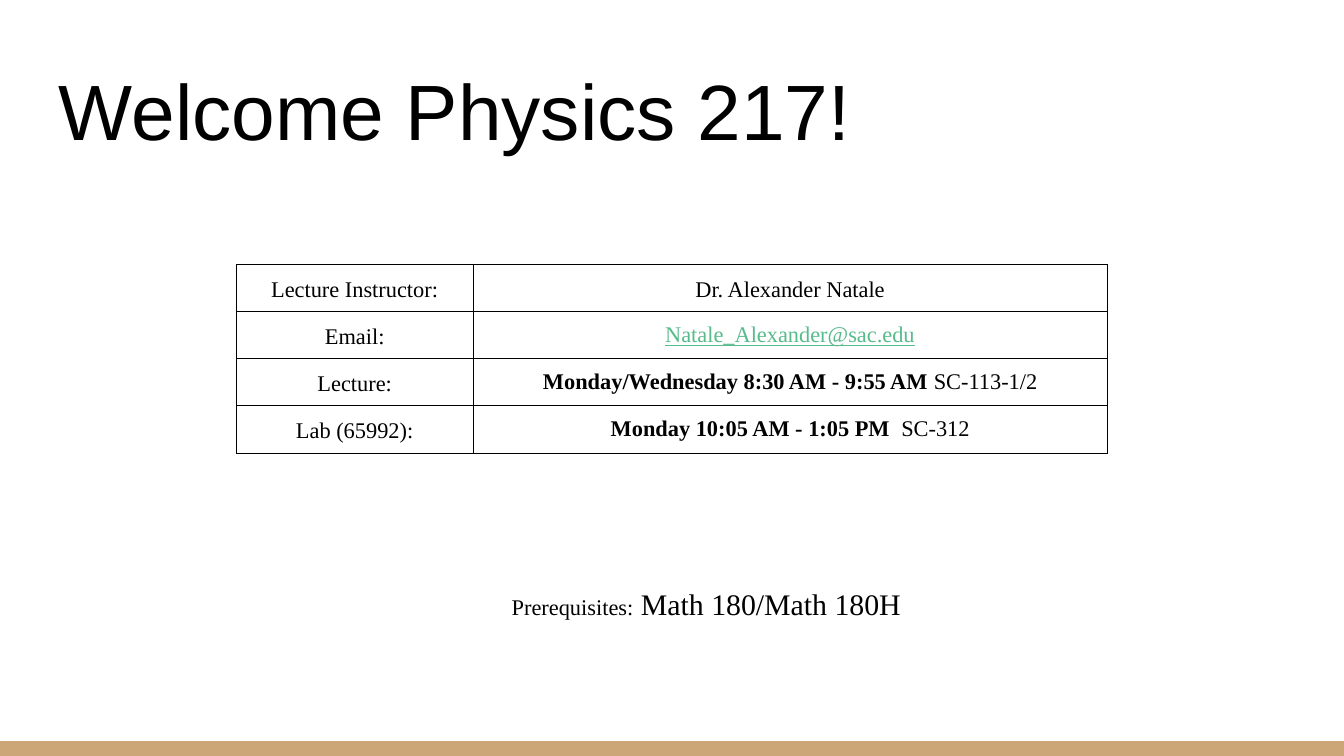
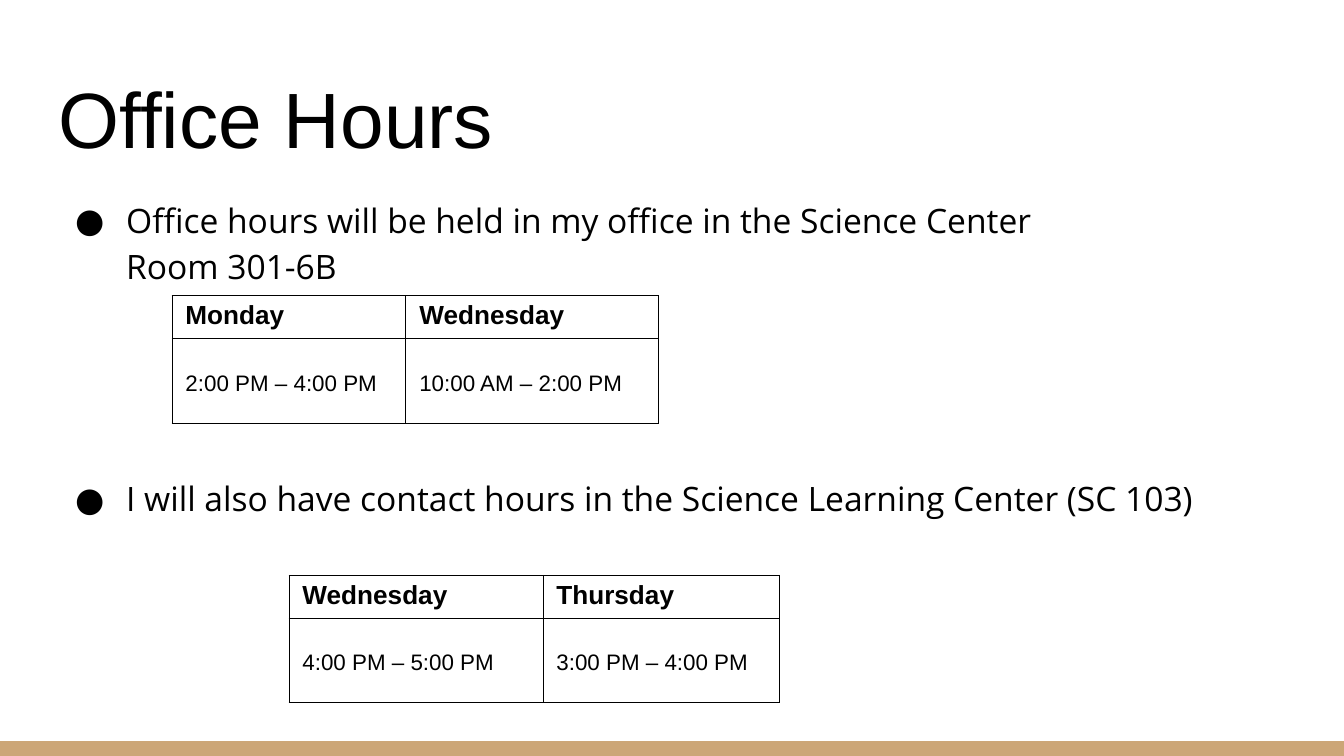
from lxml import etree
from pptx import Presentation
from pptx.dml.color import RGBColor
from pptx.enum.shapes import MSO_SHAPE
from pptx.enum.text import MSO_ANCHOR, PP_ALIGN
from pptx.oxml.ns import qn
from pptx.util import Inches, Pt

RECTANGLE = MSO_SHAPE.RECTANGLE
TOP, MIDDLE, BOTTOM = MSO_ANCHOR.TOP, MSO_ANCHOR.MIDDLE, MSO_ANCHOR.BOTTOM
LEFT, CENTER = PP_ALIGN.LEFT, PP_ALIGN.CENTER

BLACK = RGBColor(0x00, 0x00, 0x00)
TAN = RGBColor(0xCC, 0xA6, 0x77)
GREEN = RGBColor(0x57, 0xBB, 0x8A)

SANS, SERIF, BODY = "Arial", "Times New Roman", "Open Sans"
SLIDE_W = 10
SLIDE_H = SLIDE_W * 9 / 16
BAND_H = 0.11
MARGIN, CONTENT_W = 0.34, 9.32
LINE_SPACING = 1.15


def style(font, name, size, color=BLACK, bold=False):
    font.name = name
    font.size = Pt(size)
    font.color.rgb = color
    font.bold = bold


def add_text_box(slide, left, top, width, height, anchor=TOP):
    frame = slide.shapes.add_textbox(
        Inches(left), Inches(top), Inches(width), Inches(height)).text_frame
    frame.word_wrap = True
    frame.vertical_anchor = anchor
    frame.margin_left = frame.margin_right = Inches(0.1)
    frame.margin_top = frame.margin_bottom = Inches(0.1)
    return frame


def add_titled_slide(prs, title, top):
    """Add a slide with the tan band at its foot and a large title."""
    slide = prs.slides.add_slide(prs.slide_layouts[6])
    band = slide.shapes.add_shape(
        RECTANGLE, 0, Inches(SLIDE_H - BAND_H), Inches(SLIDE_W), Inches(BAND_H))
    band.shadow.inherit = False
    band.fill.solid()
    band.fill.fore_color.rgb = TAN
    band.line.fill.background()

    heading = add_text_box(
        slide, MARGIN, top, CONTENT_W, 0.91, BOTTOM).paragraphs[0]
    heading.text = title
    style(heading.font, SANS, 42)
    return slide


def set_bullet(paragraph):
    props = paragraph._p.get_or_add_pPr()
    props.set("marL", str(Inches(0.5)))
    props.set("indent", str(-Inches(0.38)))
    color = etree.SubElement(props, qn("a:buClr"))
    etree.SubElement(color, qn("a:srgbClr"), val=str(BLACK))
    etree.SubElement(props, qn("a:buFont"), typeface=BODY)
    etree.SubElement(props, qn("a:buChar"), char="●")


def set_borders(cell):
    props = cell._tc.get_or_add_tcPr()
    for index, side in enumerate(("lnL", "lnR", "lnT", "lnB")):
        line = etree.Element(qn(f"a:{side}"), w=str(Pt(0.5)))
        fill = etree.SubElement(line, qn("a:solidFill"))
        etree.SubElement(fill, qn("a:srgbClr"), val=str(BLACK))
        props.insert(index, line)


def add_grid(slide, left, top, col_widths, row_heights):
    """Add an unfilled table with thin black borders."""
    table = slide.shapes.add_table(
        len(row_heights), len(col_widths), Inches(left), Inches(top),
        Inches(sum(col_widths)), Inches(sum(row_heights))).table
    table.first_row = table.horz_banding = False
    for column, width in zip(table.columns, col_widths):
        column.width = Inches(width)
    for row, height in zip(table.rows, row_heights):
        row.height = Inches(height)
    for cell in table.iter_cells():
        cell.fill.background()
        set_borders(cell)
    return table


def fill_course_cell(cell, text, bold_text="", spacing=None):
    cell.vertical_anchor = MIDDLE
    cell.margin_left = cell.margin_right = Inches(0.07)
    cell.margin_top = cell.margin_bottom = Inches(0.06)
    paragraph = cell.text_frame.paragraphs[0]
    paragraph.alignment = CENTER
    if spacing:
        paragraph.line_spacing = spacing
    style(paragraph.font, SERIF, 12)
    if bold_text:
        schedule = paragraph.add_run()
        schedule.text = bold_text
        schedule.font.bold = True
    paragraph.add_run().text = text
    return paragraph


def add_course_table(slide):
    labels = ("Lecture Instructor:", "Email:", "Lecture:", "Lab (65992):")
    table = add_grid(slide, 1.76, 1.97, (1.76, 4.72), (0.35,) * len(labels))
    for row, label in enumerate(labels):
        fill_course_cell(table.cell(row, 0), label, spacing=LINE_SPACING)

    fill_course_cell(table.cell(0, 1), "Dr. Alexander Natale",
                     spacing=LINE_SPACING)
    email = fill_course_cell(table.cell(1, 1), "Natale_Alexander@sac.edu")
    email.font.color.rgb = GREEN
    email.font.underline = True
    fill_course_cell(table.cell(2, 1), "SC-113-1/2",
                     "Monday/Wednesday 8:30 AM - 9:55 AM ")
    fill_course_cell(table.cell(3, 1), "SC-312",
                     "Monday 10:05 AM - 1:05 PM  ")


def add_hours_table(slide, left, top, col_widths, hours):
    """Add a table of (day, time) pairs, one column for each day."""
    table = add_grid(slide, left, top, col_widths, (0.32, 0.63))
    for column, (day, time) in enumerate(hours):
        day_cell, time_cell = table.cell(0, column), table.cell(1, column)
        day_cell.margin_top = day_cell.margin_bottom = Inches(0.04)
        time_cell.margin_top = Inches(0.24)
        for cell, text, size in ((day_cell, day, 14), (time_cell, time, 12)):
            paragraph = cell.text_frame.paragraphs[0]
            paragraph.text = text
            paragraph.alignment = LEFT
            style(paragraph.font, SANS, size, bold=cell is day_cell)


def add_prerequisites(slide):
    paragraph = add_text_box(slide, 2.71, 4.22, 5.09, 1.2).paragraphs[0]
    paragraph.alignment = CENTER
    paragraph.line_spacing = LINE_SPACING
    for text, size in (("Prerequisites:", 12), (" Math 180/Math 180H", 16)):
        run = paragraph.add_run()
        run.text = text
        style(run.font, SERIF, size)


def add_bullets(slide, texts, gap):
    frame = add_text_box(slide, MARGIN, 1.34, CONTENT_W, 3.67)
    for index, text in enumerate(texts):
        paragraph = frame.add_paragraph() if index else frame.paragraphs[0]
        paragraph.text = text
        paragraph.line_spacing = LINE_SPACING
        if index:
            paragraph.space_before = Pt(gap)
        set_bullet(paragraph)
        style(paragraph.font, BODY, 18)


def main():
    prs = Presentation()
    prs.slide_width, prs.slide_height = Inches(SLIDE_W), Inches(SLIDE_H)

    welcome = add_titled_slide(prs, "Welcome Physics 217!", 0.35)
    add_course_table(welcome)
    add_prerequisites(welcome)

    office = add_titled_slide(prs, "Office Hours", 0.41)
    add_bullets(office, (
        "Office hours will be held in my office in the Science Center \v"
        "Room 301-6B",
        "I will also have contact hours in the Science Learning Center (SC 103)",
    ), gap=99.5)
    add_hours_table(office, 1.28, 2.2, (1.74, 1.88), (
        ("Monday", "2:00 PM – 4:00 PM"),
        ("Wednesday", "10:00 AM – 2:00 PM")))
    add_hours_table(office, 2.15, 4.28, (1.89, 1.76), (
        ("Wednesday", "4:00 PM – 5:00 PM"),
        ("Thursday", "3:00 PM – 4:00 PM")))

    prs.save("out.pptx")


if __name__ == "__main__":
    main()
